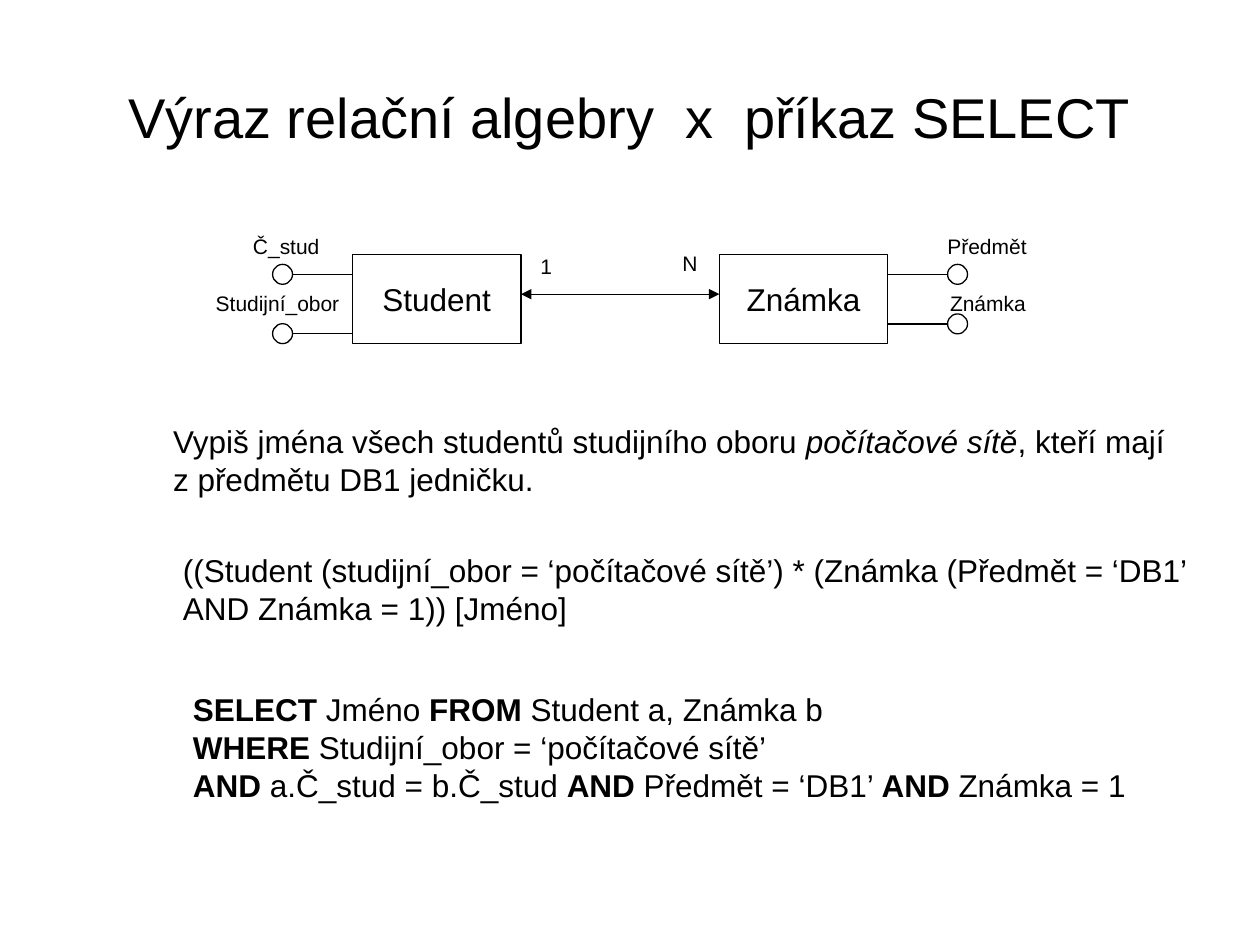
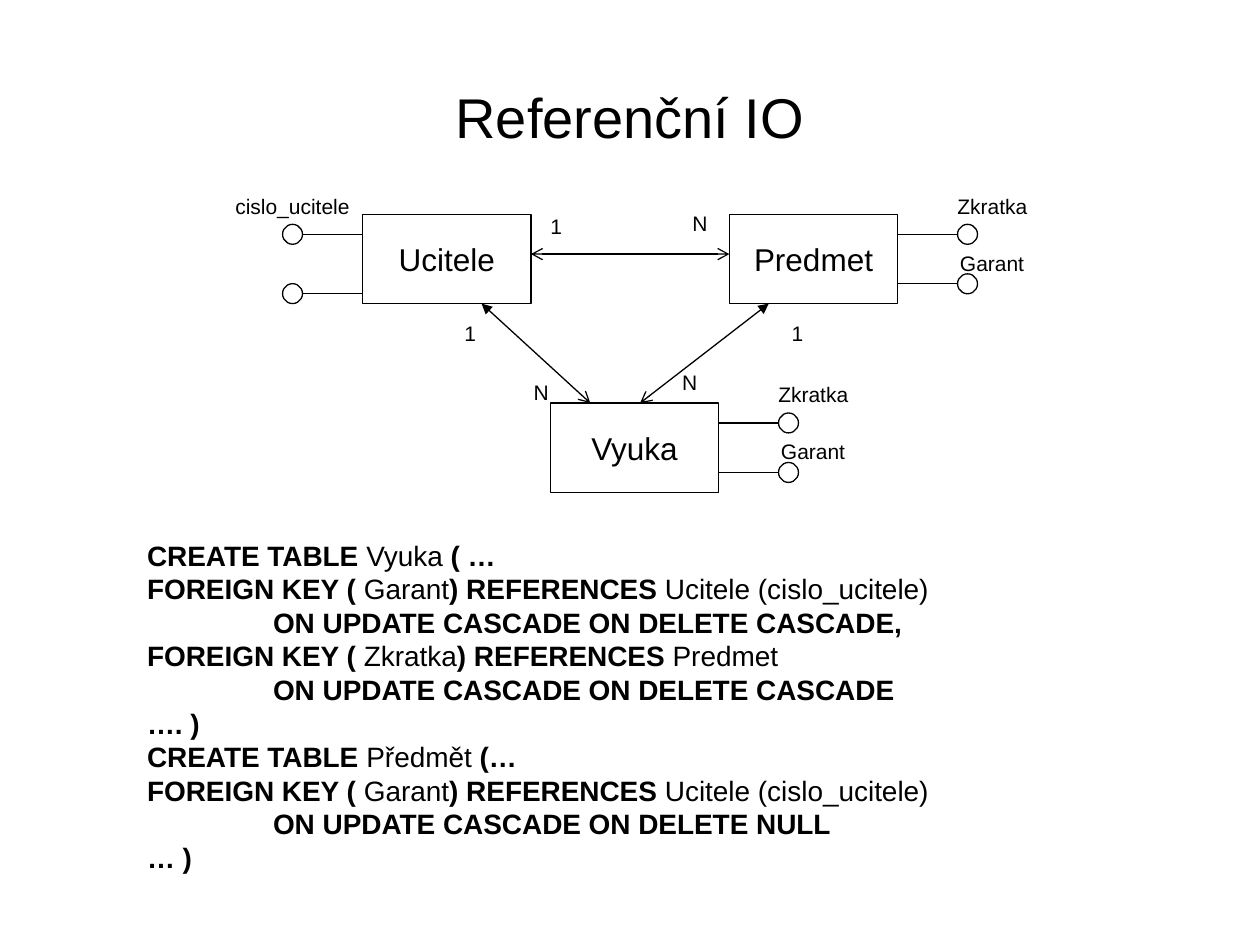
from lxml import etree
from pptx import Presentation
from pptx import util as u
from pptx.dml.color import RGBColor
from pptx.enum import shapes, text
from pptx.oxml import ns

BLACK, WHITE = "000000", "FFFFFF"
LINE_WIDTH = 0.75
TITLE_BOX = (36, 21.6, 648, 90)
ENTITY_WIDTH, ENTITY_HEIGHT = 96.2, 51
PAIR_PITCH = 209.6
RELATION_DROP = 22.7
CIRCLE = 11.4
LABEL_HEIGHT = 21.6
LABEL_DROPS = (-15.6, 17)
CODE_TAB = 72
# Offsets from the entity's edge, and drops of the two lines from its top
LEFT_SIDE = {"tip": -40, "circle": -45.7, "drops": (11.4, 45.3)}
RIGHT_SIDE = {"tip": 34.2, "circle": 34.2, "drops": (11.4, 39.7)}


def color(value):
    return RGBColor.from_string(value)


def points(*lengths):
    return [u.Pt(length) for length in lengths]


def set_font(font, **formats):
    font.color.rgb = color(BLACK)
    for name, value in {"name": "Arial", **formats}.items():
        setattr(font, name, value)


def add_title(slide, wording):
    title = slide.shapes.title
    for name, value in zip(("left", "top", "width", "height"), points(*TITLE_BOX)):
        setattr(title, name, value)
    frame = title.text_frame
    frame.text = wording
    frame.auto_size = text.MSO_AUTO_SIZE.NONE
    frame.vertical_anchor = text.MSO_ANCHOR.MIDDLE
    frame.paragraphs[0].alignment = text.PP_ALIGN.CENTER
    set_font(frame.paragraphs[0].runs[0].font, size=u.Pt(32))


def add_tab_stop(paragraph, position):
    stops = etree.SubElement(paragraph._p.get_or_add_pPr(), ns.qn("a:tabLst"))
    etree.SubElement(stops, ns.qn("a:tab"), pos=str(u.Pt(position)), algn="l")


def add_text(slide, lines, box, size, emphasis="bold"):
    """Write one paragraph per line; text between bars gets the emphasis."""
    frame = slide.shapes.add_textbox(*points(*box)).text_frame
    frame.word_wrap = False
    frame.auto_size = text.MSO_AUTO_SIZE.SHAPE_TO_FIT_TEXT
    for index, line in enumerate(lines):
        paragraph = frame.add_paragraph() if index else frame.paragraphs[0]
        if "\t" in line:
            add_tab_stop(paragraph, CODE_TAB)
        for part, wording in enumerate(line.split("|")):
            if wording:
                run = paragraph.add_run()
                run.text = wording
                set_font(run.font, size=u.Pt(size), **{emphasis: part % 2 == 1})


def add_label(slide, wording, left, top, width):
    add_text(slide, [wording], (left, top, width, LABEL_HEIGHT), 12)


def add_one(slide, left, top):
    add_label(slide, "1", left, top, 21)


def add_many(slide, left, top):
    add_label(slide, "N", left, top, 23.2)


def add_outline(slide, kind, *box):
    shape = slide.shapes.add_shape(kind, *points(*box))
    shape.shadow.inherit = False
    shape.fill.solid()
    shape.fill.fore_color.rgb = color(WHITE)
    shape.line.color.rgb = color(BLACK)
    shape.line.width = u.Pt(LINE_WIDTH)
    return shape


def add_line(slide, start, end, head=None, tail=None):
    line = slide.shapes.add_connector(
        shapes.MSO_CONNECTOR.STRAIGHT, *points(*start, *end))
    line.line.color.rgb = color(BLACK)
    line.line.width = u.Pt(LINE_WIDTH)
    properties = line._element.spPr
    for tag, arrow in (("a:headEnd", head), ("a:tailEnd", tail)):
        if arrow:
            etree.SubElement(properties.find(ns.qn("a:ln")), ns.qn(tag), type=arrow)
    etree.SubElement(properties, ns.qn("a:effectLst"))


def add_entity(slide, name, left, top):
    shape = add_outline(slide, shapes.MSO_SHAPE.RECTANGLE,
                        left, top, ENTITY_WIDTH, ENTITY_HEIGHT)
    frame = shape.text_frame
    frame.word_wrap = False
    frame.vertical_anchor = text.MSO_ANCHOR.MIDDLE
    paragraph = frame.paragraphs[0]
    paragraph.alignment = text.PP_ALIGN.CENTER
    run = paragraph.add_run()
    run.text = name
    set_font(run.font, size=u.Pt(18))


def add_attributes(slide, edge, top, side, labels):
    """Draw two attribute circles; a label is (wording, offset from edge, width)."""
    for drop in side["drops"]:
        level = top + drop
        add_line(slide, (edge, level), (edge + side["tip"], level))
        add_outline(slide, shapes.MSO_SHAPE.OVAL, edge + side["circle"],
                    level - CIRCLE / 2, CIRCLE, CIRCLE)
    for (wording, offset, width), drop in zip(labels, LABEL_DROPS):
        add_label(slide, wording, edge + offset, top + drop, width)


def add_pair(slide, left, top, names, arrow, left_labels, right_labels):
    """Draw two entities with a 1:N relation and their attributes."""
    second = left + PAIR_PITCH
    for name, position in zip(names, (left, second)):
        add_entity(slide, name, position, top)
    edge, level = left + ENTITY_WIDTH, top + RELATION_DROP
    add_line(slide, (edge, level), (second, level), arrow, arrow)
    add_one(slide, edge + 4, top - 4)
    add_many(slide, second - 28.2, top - 5.5)
    add_attributes(slide, left, top, LEFT_SIDE, left_labels)
    add_attributes(slide, second + ENTITY_WIDTH, top, RIGHT_SIDE, right_labels)


def build_select_slide(slide):
    add_title(slide, "Výraz relační algebry  x  příkaz SELECT")
    add_pair(slide, 201.5, 145.4, ("Student", "Známka"), "triangle",
             [("Č_stud", -64, 53), ("Studijní_obor", -85.3, 85.4)],
             [("Předmět", 27, 60.2), ("Známka", 28.5, 58)])
    add_text(slide, [
        "Vypiš jména všech studentů studijního oboru |počítačové sítě|, kteří mají",
        "z předmětu DB1 jedničku.",
    ], (91.8, 237.6, 588, 50.4), 18, "italic")
    add_text(slide, [
        "((Student (studijní_obor = ‘počítačové sítě’) * (Známka (Předmět = ‘DB1’",
        "AND Známka = 1)) [Jméno]",
    ], (97.5, 311.2, 590, 50.4), 18)
    add_text(slide, [
        "|SELECT |Jméno |FROM |Student a, Známka b",
        "|WHERE |Studijní_obor = ‘počítačové sítě’",
        "|AND |a.Č_stud = b.Č_stud |AND |Předmět = ‘DB1’ |AND |Známka = 1",
    ], (103.2, 391, 549, 72), 18)


def build_reference_slide(slide):
    add_title(slide, "Referenční IO")
    left, top = 207.2, 122.5
    teaching_left, teaching_top = 314.5, 230.3
    subject_labels = [("Zkratka", 27, 55.5), ("Garant", 28.5, 52)]
    add_pair(slide, left, top, ("Ucitele", "Predmet"), "arrow",
             [("cislo_ucitele", -79.8, 80.3)], subject_labels)
    add_entity(slide, "Vyuka", teaching_left, teaching_top)
    add_attributes(slide, teaching_left + ENTITY_WIDTH, teaching_top,
                   RIGHT_SIDE, subject_labels)
    bottom = top + ENTITY_HEIGHT
    for start, end in ((275.2, 337.3), (439.3, 365.8)):
        add_line(slide, (start, bottom), (end, teaching_top), "triangle", "arrow")
    for one_left in (258.2, 445.2):
        add_one(slide, one_left, 179.4)
    for many_left, many_top in ((297.8, 213.1), (382.8, 207.4)):
        add_many(slide, many_left, many_top)
    teacher_key = "|FOREIGN KEY (| Garant|) REFERENCES |Ucitele (cislo_ucitele)"
    add_text(slide, [
        "|CREATE TABLE |Vyuka |( …",
        teacher_key,
        "|\tON UPDATE CASCADE ON DELETE CASCADE,",
        "|FOREIGN KEY (| Zkratka|) REFERENCES |Predmet",
        "|\tON UPDATE CASCADE ON DELETE CASCADE",
        "|…. )",
        "|CREATE TABLE |Předmět |(…",
        teacher_key,
        "|\tON UPDATE CASCADE ON DELETE NULL",
        "|… )",
    ], (77, 304, 462.5, 199.4), 16)


def main():
    presentation = Presentation()
    presentation.slide_width, presentation.slide_height = points(720, 540)
    title_only = presentation.slide_layouts[5]
    for build in (build_select_slide, build_reference_slide):
        build(presentation.slides.add_slide(title_only))
    presentation.save("out.pptx")


if __name__ == "__main__":
    main()
